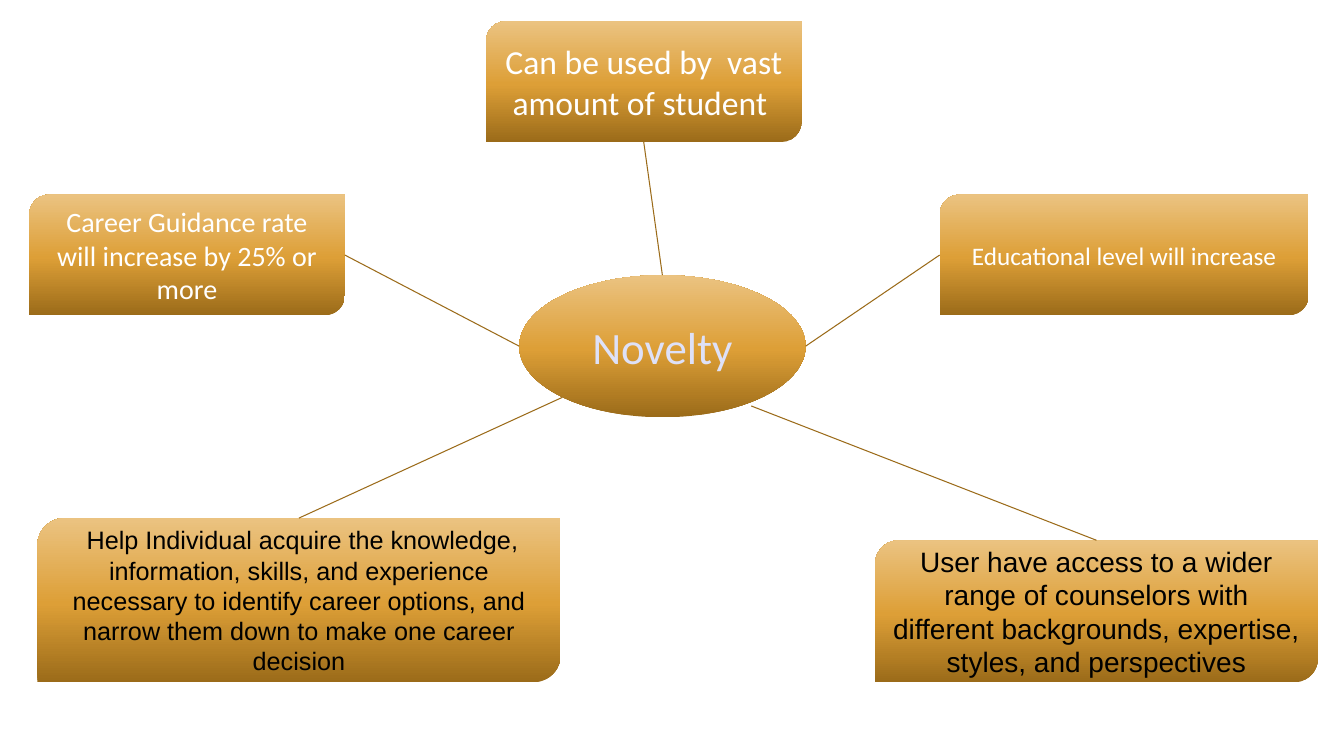
"""Build the Novelty slide: a central ellipse linked to five benefit boxes."""
from copy import deepcopy

from pptx import Presentation
from pptx.dml.color import RGBColor
from pptx.enum.shapes import MSO_CONNECTOR, MSO_SHAPE as Shape
from pptx.enum.text import MSO_ANCHOR, PP_ALIGN
from pptx.oxml.ns import qn
from pptx.util import Pt
from lxml.etree import SubElement

PX = 9144
SLIDE_SIZE = (1333, 750)

BRONZE = RGBColor(0x9B, 0x6B, 0x19)
GOLD = RGBColor(0xDD, 0x9F, 0x37)
SAND = RGBColor(0xEB, 0xC3, 0x81)
WHITE = RGBColor(0xFF, 0xFF, 0xFF)
BLACK = RGBColor(0x00, 0x00, 0x00)
LAVENDER = RGBColor(0xDE, 0xE1, 0xF8)
GRADIENT = [(0, BRONZE), (0.48, GOLD), (1, SAND)]

TOP, LEFT, BOTTOM, RIGHT = (0.5, 0), (0, 0.5), (0.5, 1), (1, 0.5)
LOWER_LEFT, LOWER_RIGHT = (0.15, 0.86), (0.81, 0.92)

HUB = ("Novelty", (515, 273, 284, 141), "Calibri", 32, LAVENDER)

# text, place, font, size, colour, link point on the hub, link point on the box
BENEFITS = [
    ("Can be used by  vast amount of student ",
     (482, 21, 313, 120), "Calibri", 24, WHITE, TOP, BOTTOM),
    ("Career Guidance rate will increase by 25% or more",
     (29, 193, 313, 120), "Calibri", 20, WHITE, LEFT, RIGHT),
    (" Help Individual acquire the knowledge, information, skills, and "
     "experience necessary to identify career options, and narrow them down "
     "to make one career decision",
     (37, 514, 519, 163), "Arial", 18, BLACK, LOWER_LEFT, TOP),
    ("Educational level will increase",
     (932, 193, 366, 120), "Calibri", 18, WHITE, RIGHT, LEFT),
    ("User have access to a wider range of counselors with different "
     "backgrounds, expertise, styles, and perspectives",
     (868, 536, 439, 141), "Arial", 20, BLACK, LOWER_RIGHT, TOP),
]


def fill_with_gradient(fill):
    """Fill from bronze at the bottom to sand at the top."""
    fill.gradient()
    fill.gradient_angle = 90
    first_stop = fill._fill._gradFill.find(qn("a:gsLst"))[0]
    first_stop.addnext(deepcopy(first_stop))
    for stop, (position, color) in zip(fill.gradient_stops, GRADIENT):
        stop.position = position
        stop.color.rgb = color


def add_box(slide, kind, text, place, font, size, color):
    """Add one gradient shape with centred text."""
    box = slide.shapes.add_shape(kind, *(value * PX for value in place))
    box.shadow.inherit = False
    box.line.fill.background()
    fill_with_gradient(box.fill)
    frame = box.text_frame
    frame.word_wrap = True
    frame.vertical_anchor = MSO_ANCHOR.MIDDLE
    frame.text = text
    para = frame.paragraphs[0]
    para.alignment = PP_ALIGN.CENTER
    span = para.runs[0]
    span.font.name = font
    span.font.size = Pt(size)
    span.font.color.rgb = color
    return box


def point_on(place, fraction):
    """Return the EMU point at a fraction of a place's width and height."""
    left, top, width, height = place
    return (round((left + width * fraction[0]) * PX),
            round((top + height * fraction[1]) * PX))


def add_link(slide, start, end):
    """Add one thin bronze line."""
    link = slide.shapes.add_connector(MSO_CONNECTOR.STRAIGHT, *start, *end)
    link.line.color.rgb = BRONZE
    link.line.width = Pt(0.75)
    SubElement(link._element.spPr, qn("a:effectLst"))


def main():
    """Build and save the deck."""
    deck = Presentation()
    deck.slide_width, deck.slide_height = (side * PX for side in SLIDE_SIZE)
    page = deck.slides.add_slide(deck.slide_layouts[6])
    for *content, _, _ in BENEFITS:
        box = add_box(page, Shape.ROUND_2_DIAG_RECTANGLE, *content)
        box.adjustments[0] = 0.167
    add_box(page, Shape.OVAL, *HUB)
    for _, place, _, _, _, hub_point, box_point in BENEFITS:
        add_link(page, point_on(HUB[1], hub_point), point_on(place, box_point))
    deck.save("out.pptx")


if __name__ == "__main__":
    main()
